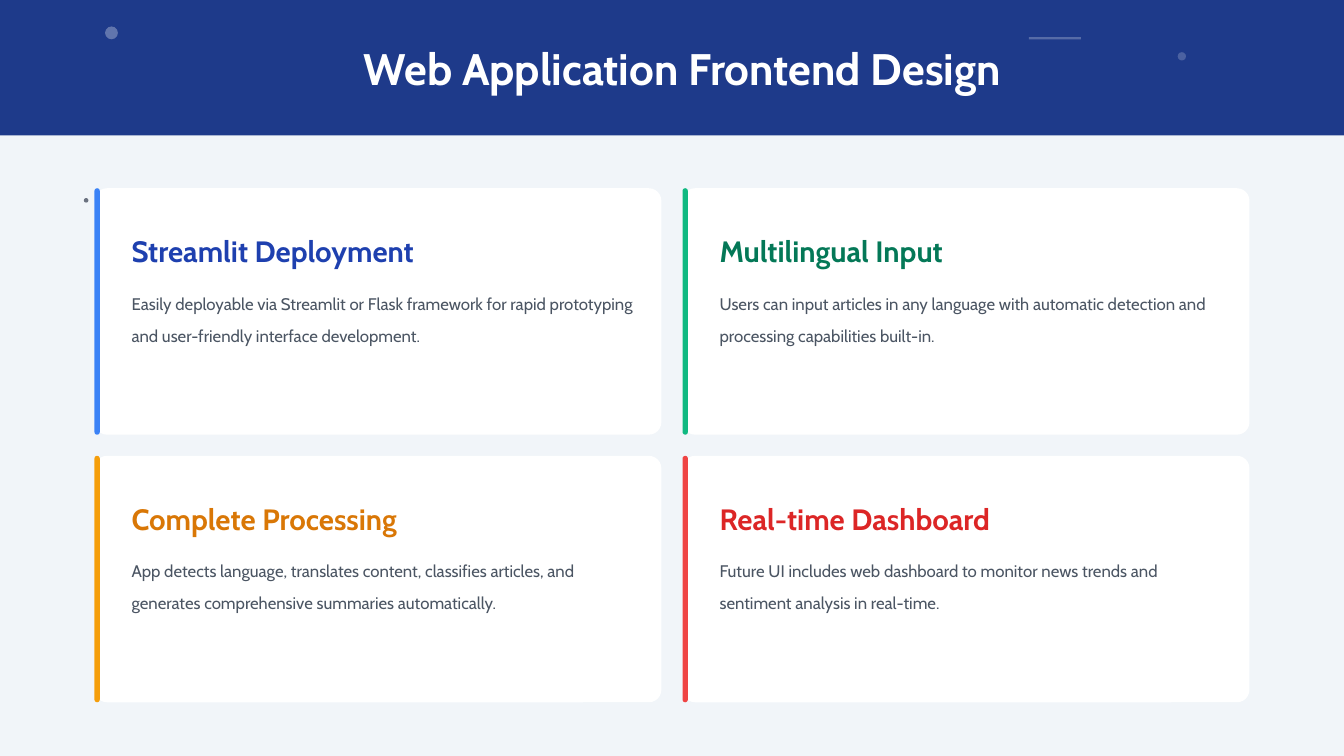
from dataclasses import dataclass

from lxml import etree
from pptx import Presentation
from pptx.dml.color import RGBColor
from pptx.enum.shapes import MSO_SHAPE as Shape
from pptx.enum.text import MSO_ANCHOR as Anchor, PP_ALIGN as Align
from pptx.oxml.ns import qn
from pptx.util import Inches, Pt


@dataclass(frozen=True)
class Theme:
    font: str = "Cabin"
    page: str = "F1F5F9"
    band: str = "1E3A8A"
    white: str = "FFFFFF"
    body: str = "4B5563"
    dot: str = "6B7280"
    title_size: int = 42
    heading_size: int = 28
    body_size: int = 16


class Deck:
    """Holds the theme and the current slide, and draws on it."""

    def __init__(self, prs, theme):
        self.theme = theme
        self.slide = prs.slides.add_slide(prs.slide_layouts[6])
        fill = self.slide.background.fill
        fill.solid()
        fill.fore_color.rgb = RGBColor.from_string(theme.page)

    def box(self, x, y, w, h, color, radius=None, opacity=None):
        kind = Shape.RECTANGLE if radius is None else Shape.ROUNDED_RECTANGLE
        s = self.slide.shapes.add_shape(
            kind, Inches(x), Inches(y), Inches(w), Inches(h))
        s.shadow.inherit = False
        s.line.fill.background()
        s.fill.solid()
        s.fill.fore_color.rgb = RGBColor.from_string(color)
        if radius is not None:
            s.adjustments[0] = radius
        if opacity is not None:
            clr = s.fill._xPr.find(qn("a:solidFill"))[0]
            etree.SubElement(clr, qn("a:alpha")).set("val", str(opacity * 1000))
        return s

    def dot(self, x, y, size, color, opacity=None):
        return self.box(x, y, size, size, color, 0.5, opacity)

    def text(self, x, y, w, h, text, size, color,
             bold=False, align=Align.LEFT, spacing=1.0):
        s = self.slide.shapes.add_textbox(
            Inches(x), Inches(y), Inches(w), Inches(h))
        tf = s.text_frame
        tf.word_wrap = True
        tf.vertical_anchor = Anchor.MIDDLE
        tf.margin_left = tf.margin_right = tf.margin_top = tf.margin_bottom = 0
        p = tf.paragraphs[0]
        p.text = text
        p.alignment = align
        p.line_spacing = spacing
        p.font.name = self.theme.font
        p.font.size = Pt(size)
        p.font.bold = bold
        p.font.color.rgb = RGBColor.from_string(color)
        return s

    def card(self, x, y, heading, body, accent, heading_color):
        t = self.theme
        w, h = 7.5, 3.26
        self.box(x, y, w, h, t.white, 0.051)
        self.box(x, y, 0.07, h, accent, 0.5)
        self.text(x + 0.49, y + 0.55, 6.72, 0.46, heading,
                  t.heading_size, heading_color, bold=True, spacing=1.2)
        self.text(x + 0.49, y + 1.3, 6.72, 0.71, body,
                  t.body_size, t.body, spacing=1.6)


# Heading, body, accent colour, heading colour
CARDS = [
    ("Streamlit Deployment",
     "Easily deployable via Streamlit or Flask framework for rapid "
     "prototyping and user-friendly interface development.",
     "3B82F6", "1E40AF"),
    ("Multilingual Input",
     "Users can input articles in any language with automatic detection "
     "and processing capabilities built-in.",
     "10B981", "047857"),
    ("Complete Processing",
     "App detects language, translates content, classifies articles, and "
     "generates comprehensive summaries automatically.",
     "F59E0B", "D97706"),
    ("Real-time Dashboard",
     "Future UI includes web dashboard to monitor news trends and "
     "sentiment analysis in real-time.",
     "EF4444", "DC2626"),
]


def main():
    prs = Presentation()
    prs.slide_width, prs.slide_height = Inches(17.78), Inches(10)
    theme = Theme()
    deck = Deck(prs, theme)

    # Header band with its ornaments
    deck.box(0, 0, 17.78, 1.79, theme.band)
    deck.dot(1.39, 0.35, 0.17, theme.white, opacity=30)
    deck.dot(15.58, 0.69, 0.11, theme.white, opacity=20)
    deck.box(13.61, 0.49, 0.69, 0.03, theme.white, opacity=25)
    deck.text(4.31, 0.46, 9.43, 0.88, "Web Application Frontend Design",
              theme.title_size, theme.white, bold=True, align=Align.CENTER)

    # Two-by-two grid of cards
    deck.dot(1.11, 2.62, 0.06, theme.dot)
    for i, card in enumerate(CARDS):
        row, col = divmod(i, 2)
        deck.card(1.25 + col * 7.78, 2.49 + row * 3.54, *card)

    prs.save("out.pptx")


if __name__ == "__main__":
    main()
